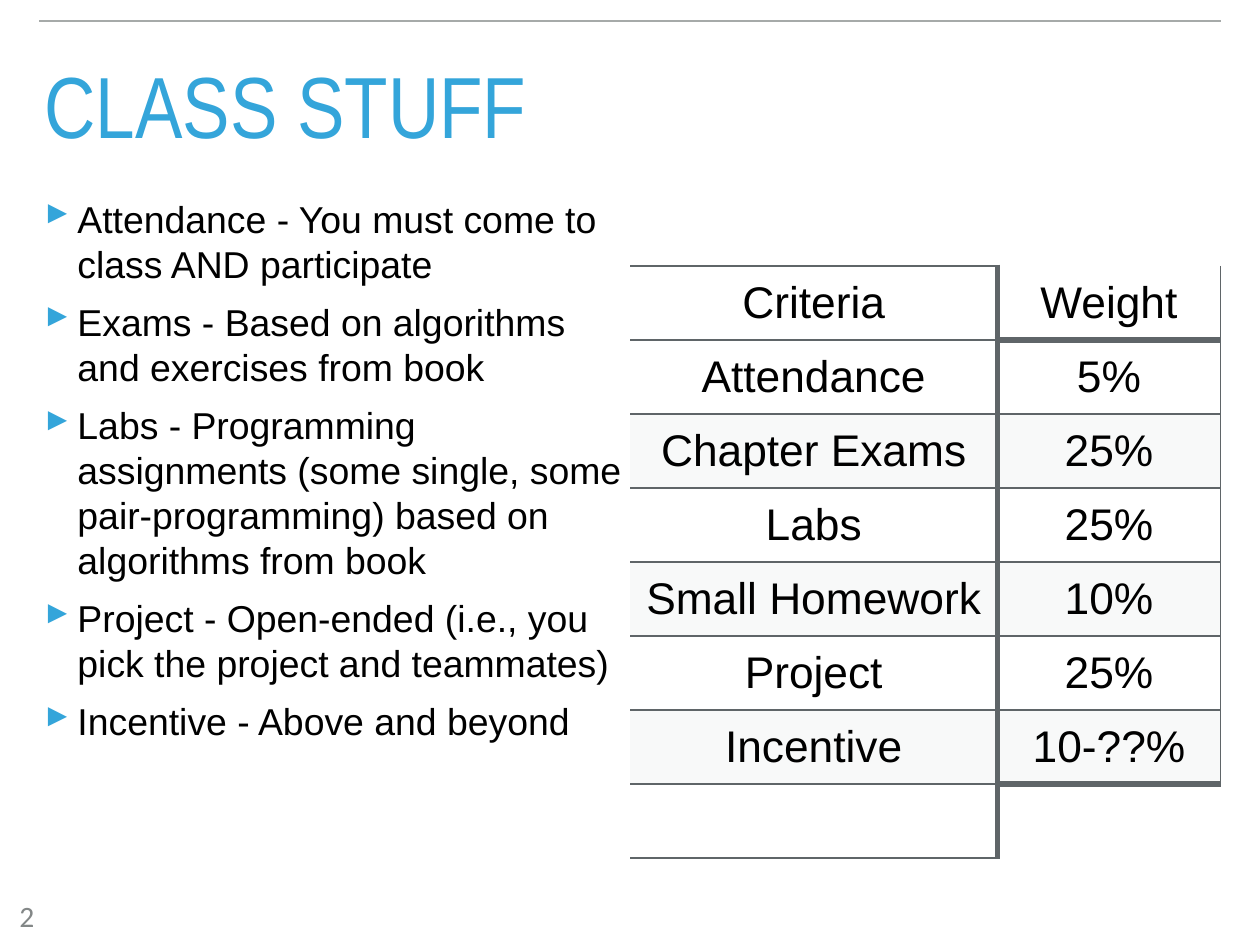
"""Build the class stuff slide with its topic list and grading table."""
from dataclasses import dataclass

from lxml.etree import SubElement as Sub
from pptx import Presentation
from pptx.dml.color import RGBColor
from pptx.enum.shapes import MSO_CONNECTOR as Link
from pptx.enum.text import MSO_ANCHOR as Anchor, PP_ALIGN as Align
from pptx.oxml.ns import qn
from pptx.util import Emu, Inches, Pt

COLS, ROWS = 160, 120
UNIT = 81280
BLUE, GREY, BLACK = "34A5DA", "5F6568", "000000"
PAD = Inches(0.06)


@dataclass
class Box:
    left: float
    top: float
    wide: float
    high: float

    def place(self) -> list[Emu]:
        return [cell(n) for n in (self.left, self.top, self.wide, self.high)]


@dataclass
class Grade:
    name: str
    share: str
    shade: bool = False


TOPICS = [
    "Attendance - You must come to class AND participate",
    "Exams - Based on algorithms and exercises from book",
    "Labs - Programming assignments (some single, some pair-programming)"
    " based on algorithms from book",
    "Project - Open-ended (i.e., you pick the project and teammates)",
    "Incentive - Above and beyond",
]
GRADES = [
    Grade("Criteria", "Weight"),
    Grade("Attendance", "5%"),
    Grade("Chapter Exams", "25%", True),
    Grade("Labs", "25%"),
    Grade("Small Homework", "10%", True),
    Grade("Project", "25%"),
    Grade("Incentive", "10-??%", True),
    Grade("", ""),
]
RULES = [[2] * 9, [0, 5, 2, 2, 2, 2, 2, 5, 0]]


def cell(count: float) -> Emu:
    return Emu(round(count * UNIT))


def paint(code: str) -> RGBColor:
    return RGBColor.from_string(code)


def mark(para) -> None:
    props = para._p.get_or_add_pPr()
    props.set("marL", str(Inches(0.37)))
    props.set("indent", str(-Inches(0.37)))
    Sub(Sub(props, qn("a:buClr")), qn("a:srgbClr"), val=BLUE)
    Sub(props, qn("a:buSzPct"), val="105000")
    Sub(props, qn("a:buChar"), char="▸")


def write(frame, *lines: str, size: float, face: str = "Arial",
          color: str = BLACK, align=Align.LEFT, lead: float = 1,
          gap: float = 0, bullet: bool = False) -> None:
    for spot, line in enumerate(lines):
        para = frame.add_paragraph() if spot else frame.paragraphs[0]
        if bullet:
            mark(para)
        para.alignment, para.line_spacing = align, lead
        para.space_before = Pt(gap if spot else 0)
        run = para.add_run()
        run.text = line
        run.font.size, run.font.name = Pt(size), face
        run.font.color.rgb = paint(color)


def label(slide, box: Box, *lines: str, wrap: bool = True,
          anchor=Anchor.TOP, **style) -> None:
    frame = slide.shapes.add_textbox(*box.place()).text_frame
    frame.margin_left = frame.margin_right = PAD
    frame.margin_top = frame.margin_bottom = PAD
    frame.word_wrap, frame.vertical_anchor = wrap, anchor
    write(frame, *lines, **style)


def edge(item, side: str, width: float) -> None:
    line = Sub(item._tc.get_or_add_tcPr(), qn(f"a:ln{side}"),
               w=str(Pt(width)))
    if width:
        Sub(Sub(line, qn("a:solidFill")), qn("a:srgbClr"), val=GREY)
    else:
        Sub(line, qn("a:noFill"))


def fill(item, shade: bool) -> None:
    if not shade:
        item.fill.background()
        return
    item.fill.solid()
    item.fill.fore_color.rgb = paint("DCDEE0")
    tone = item._tc.tcPr.find(".//" + qn("a:solidFill") + "[last()]/"
                              + qn("a:srgbClr"))
    for tone in item._tc.tcPr.findall(qn("a:solidFill") + "/"
                                      + qn("a:srgbClr")):
        Sub(tone, qn("a:alpha"), val="18000")


def chart(slide, box: Box, widths: list[float]) -> None:
    table = slide.shapes.add_table(len(GRADES), 2, *box.place()).table
    table.first_row = table.horz_banding = False
    for col, wide in zip(table.columns, widths):
        col.width = cell(wide)
    for row, grade in enumerate(GRADES):
        table.rows[row].height = cell(box.high / len(GRADES))
        for col, text in enumerate((grade.name, grade.share)):
            item = table.cell(row, col)
            item.margin_left = item.margin_right = PAD
            item.margin_top = item.margin_bottom = PAD
            item.vertical_anchor = Anchor.MIDDLE
            last = 1 if grade.name else 0
            edge(item, "L", 5 if col else 0)
            edge(item, "R", last if col else 5)
            edge(item, "T", RULES[col][row])
            edge(item, "B", RULES[col][row + 1])
            fill(item, grade.shade)
            if text:
                write(item.text_frame, text, size=36, align=Align.CENTER)


def rule(slide, left: float, right: float, top: float) -> None:
    line = slide.shapes.add_connector(
        Link.STRAIGHT, cell(left), cell(top), cell(right), cell(top))
    line.line.color.rgb, line.line.width = paint("A6AAA9"), Pt(2)
    Sub(line._element.spPr, qn("a:effectLst"))


def main() -> None:
    deck = Presentation()
    deck.slide_width, deck.slide_height = cell(COLS), cell(ROWS)
    slide = deck.slides.add_slide(deck.slide_layouts[6])
    rule(slide, 5, 155, 2.7)
    label(slide, Box(5, 8.4, 150, 12.4), "CLASS STUFF", size=70.5,
          face="Arial Narrow", color=BLUE, lead=0.8)
    label(slide, Box(5, 24.2, 75, 86.7), *TOPICS, size=30.4, gap=11,
          bullet=True)
    label(slide, Box(1.8, 114.2, 3.2, 5.6), "2", wrap=False, size=24,
          face="Calibri", color="838787", align=Align.RIGHT, lead=0.8)
    chart(slide, Box(80, 33.75, 75, 75.2), [46.65, 28.35])
    deck.save("out.pptx")


if __name__ == "__main__":
    main()
